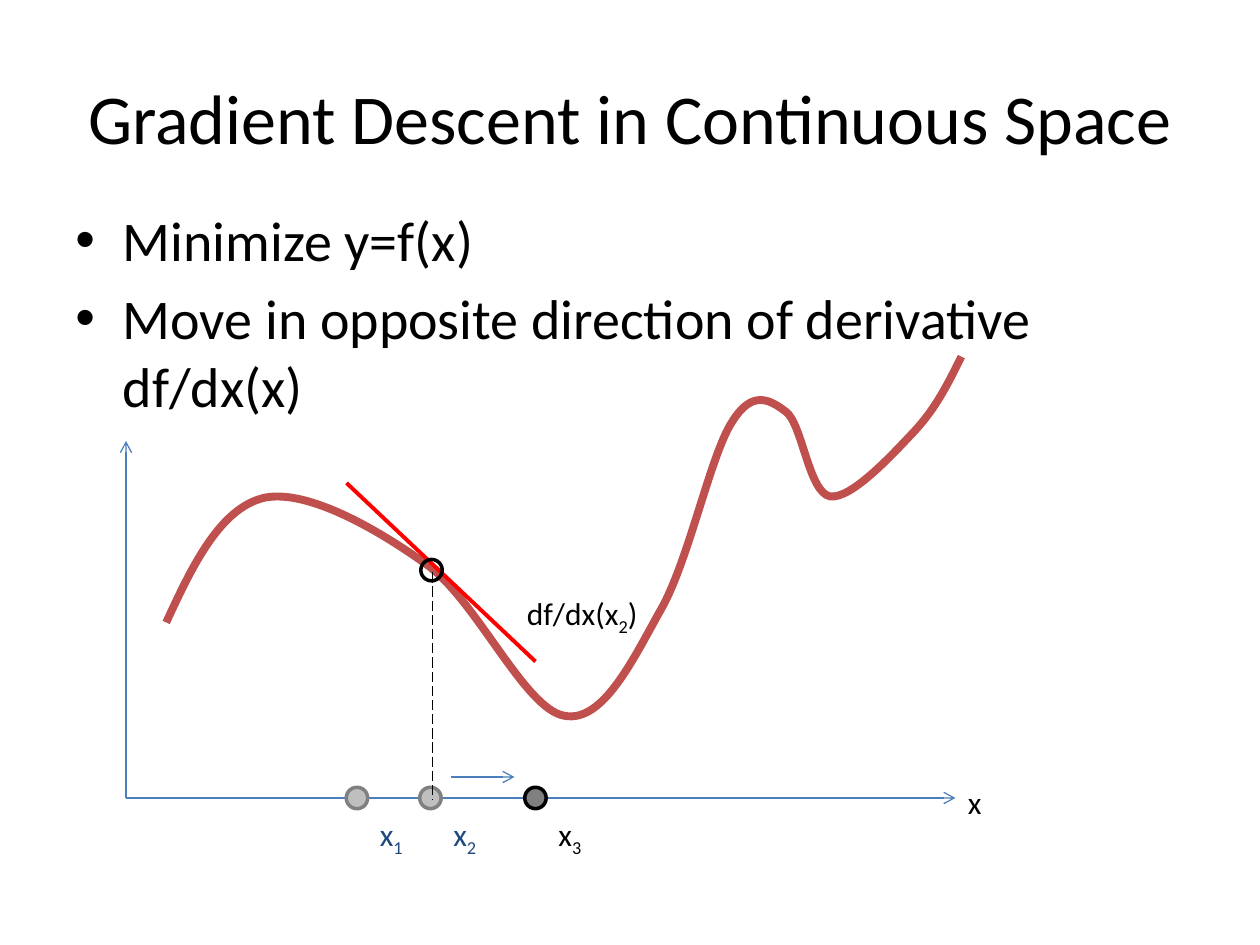
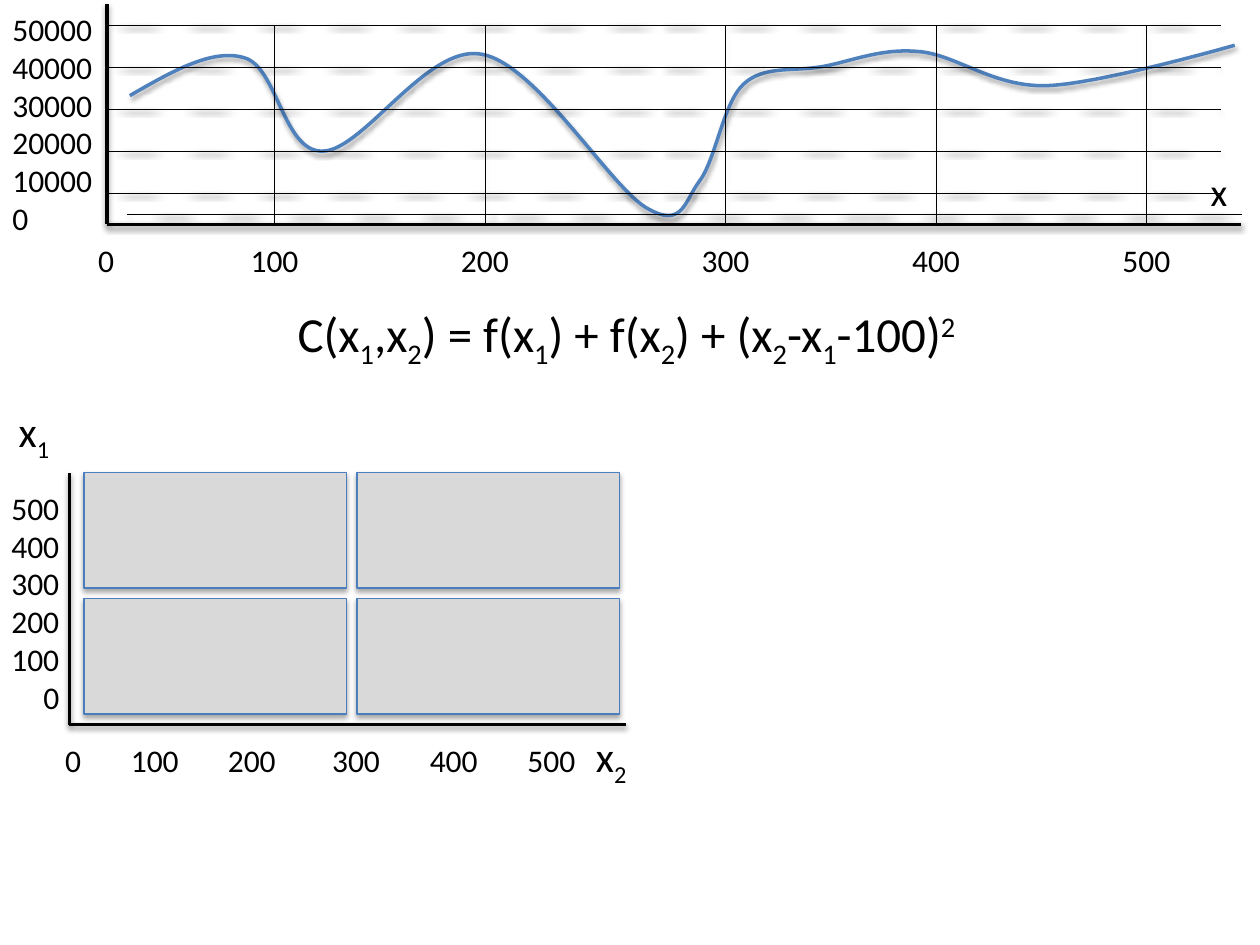
from dataclasses import dataclass
from typing import NamedTuple, Optional

from lxml import etree
from pptx import Presentation
from pptx import util as u
from pptx.dml.color import RGBColor
from pptx.enum import dml, shapes, text
from pptx.oxml.ns import qn

Pt = u.Pt


@dataclass(frozen=True)
class Theme:
    font: str = "Calibri"
    black: str = "000000"
    navy: str = "1F497D"
    blue: str = "4B7EBC"
    curve_blue: str = "4F81BD"
    curve_red: str = "C0504D"
    red: str = "FF0000"
    dark_grey: str = "808080"
    grey: str = "BFBFBF"
    light_grey: str = "D9D9D9"
    title: float = 40
    body: float = 32
    formula: float = 28
    variable: float = 24
    axis_name: float = 22
    label: float = 18


T = Theme()


class Shadow(NamedTuple):
    alpha: int
    distance: float
    blur: float = 3.1


class Stroke(NamedTuple):
    color: str
    width: float
    dash: Optional[dml.MSO_LINE] = None
    arrow: bool = False
    shadow: Optional[Shadow] = None


class Box(NamedTuple):
    x: float
    y: float
    w: float
    h: float


@dataclass(frozen=True)
class Label:
    box: Box
    lines: tuple[str, ...]
    size: float = T.label
    color: str = T.black
    align: text.PP_ALIGN = text.PP_ALIGN.LEFT
    wrap: bool = True
    anchor: text.MSO_ANCHOR = text.MSO_ANCHOR.TOP
    bullet: bool = False
    margin: float = 0
    tabs: tuple[float, ...] = ()


class Line(NamedTuple):
    start: tuple[float, float]
    end: tuple[float, float]
    stroke: Stroke


class Point(NamedTuple):
    x: float
    y: float
    line: str
    fill: Optional[str] = None


LINE_SHADOW = Shadow(38, 1.6)
CELL_SHADOW = Shadow(35, 1.8)
AXIS = Stroke(T.black, 2, shadow=LINE_SHADOW)
GRID = Stroke(T.black, 0.25, dml.MSO_LINE.ROUND_DOT, shadow=LINE_SHADOW)
ARROW = Stroke(T.blue, 0.75, arrow=True)
INSET = 7.2
POINT_SIZE = 12.24
BASELINES = {"_": "-25000", "^": "30000"}

DESCENT_CURVE = [
    (95, 355.7),
    (110.2, 322.6), (126, 290.2), (151.2, 284.4),
    (175.7, 279.4), (216, 302.4), (244.8, 323.3),
    (272.9, 344.2), (300.2, 405.4), (322.6, 409),
    (344.9, 413.3), (362.2, 375.8), (378, 347.8),
    (393.8, 319.7), (406.1, 259.9), (418.3, 241.2),
    (429.8, 222.5), (439.9, 228.2), (449.3, 235.4),
    (458.6, 242.6), (462.2, 281.5), (474.5, 283.7),
    (486.7, 285.1), (509.8, 259.9), (522, 247),
    (535, 233.3), (542.2, 218.2), (549.4, 203.8),
]
COST_CURVE = [
    (74.2, 54.7),
    (97.9, 41), (121.7, 27.4), (139.7, 33.1),
    (158.4, 38.2), (162, 87.1), (184.3, 86.4),
    (207.4, 86.4), (244.1, 25.2), (275, 31),
    (306, 36), (348.5, 106.6), (369.4, 118.8),
    (390.2, 131), (391, 115.2), (399.6, 103.7),
    (409, 91.4), (413.3, 59), (424.8, 48.2),
    (436.3, 37.4), (452.9, 41), (469.4, 38.2),
    (486, 35.3), (503.3, 27.4), (524.9, 29.5),
    (545.8, 31), (567.4, 49.7), (597.6, 49),
    (627.8, 48.2), (705.6, 25.9), (705.6, 25.9),
]


def add_xml(parent, tag: str, **attrs):
    el = etree.SubElement(parent, qn(tag))
    for name, value in attrs.items():
        el.set(name, str(value))
    return el


def style_line(sp, stroke: Stroke) -> None:
    sp.line.color.rgb = RGBColor.from_string(stroke.color)
    sp.line.width = Pt(stroke.width)
    if stroke.dash is not None:
        sp.line.dash_style = stroke.dash
    props = sp._element.spPr
    if stroke.arrow:
        add_xml(props.find(qn("a:ln")), "a:tailEnd", type="arrow")
    effects = add_xml(props, "a:effectLst")
    if stroke.shadow:
        shadow = add_xml(effects, "a:outerShdw", blurRad=Pt(stroke.shadow.blur),
                         dist=Pt(stroke.shadow.distance), dir=5400000, rotWithShape=0)
        color = add_xml(shadow, "a:srgbClr", val=T.black)
        add_xml(color, "a:alpha", val=stroke.shadow.alpha * 1000)


def style_fill(sp, color: Optional[str]) -> None:
    if color is None:
        sp.fill.background()
    else:
        sp.fill.solid()
        sp.fill.fore_color.rgb = RGBColor.from_string(color)


def draw_line(s, line: Line) -> None:
    ends = [Pt(v) for v in (*line.start, *line.end)]
    sp = s.shapes.add_connector(shapes.MSO_CONNECTOR.STRAIGHT, *ends)
    style_line(sp, line.stroke)


def draw_shape(s, kind: shapes.MSO_SHAPE, box: Box, fill: Optional[str], stroke: Stroke) -> None:
    sp = s.shapes.add_shape(kind, *map(Pt, box))
    style_fill(sp, fill)
    style_line(sp, stroke)


def draw_point(s, point: Point) -> None:
    half = POINT_SIZE / 2
    box = Box(point.x - half, point.y - half, POINT_SIZE, POINT_SIZE)
    draw_shape(s, shapes.MSO_SHAPE.OVAL, box, point.fill, Stroke(point.line, 2))


def draw_curve(s, points: list[tuple[float, float]], stroke: Stroke) -> None:
    start, *rest = [(Pt(x), Pt(y)) for x, y in points]
    builder = s.shapes.build_freeform(*start)
    builder.add_line_segments(rest, close=False)
    sp = builder.convert_to_shape()
    segments = list(sp._element.iter(qn("a:lnTo")))
    outline = segments[0].getparent()
    for i in range(0, len(segments), 3):
        bezier = add_xml(outline, "a:cubicBezTo")
        for segment in segments[i:i + 3]:
            bezier.append(segment[0])
            outline.remove(segment)
    style_fill(sp, None)
    style_line(sp, stroke)


def write_line(p, line: str, label: Label) -> None:
    p.alignment = label.align
    for part in line.split("|"):
        r = p.add_run()
        r.text = part.lstrip("_^")
        r.font.name = T.font
        r.font.size = Pt(label.size)
        r.font.color.rgb = RGBColor.from_string(label.color)
        if part[0] in BASELINES:
            r._r.get_or_add_rPr().set("baseline", BASELINES[part[0]])
    props = p._p.get_or_add_pPr()
    if label.margin:
        props.set("marL", str(Pt(label.margin)))
    if label.bullet:
        p.space_before = Pt(label.size * 0.2)
        props.set("indent", str(-Pt(label.margin)))
        add_xml(props, "a:buFont", typeface="Arial")
        add_xml(props, "a:buChar", char="•")
    if label.tabs:
        tabs = add_xml(props, "a:tabLst")
        for center in label.tabs:
            add_xml(tabs, "a:tab", pos=Pt(center - label.box.x - INSET), algn="ctr")


def draw_label(s, label: Label) -> None:
    tf = s.shapes.add_textbox(*map(Pt, label.box)).text_frame
    tf.word_wrap = label.wrap
    tf.vertical_anchor = label.anchor
    for i, line in enumerate(label.lines):
        p = tf.add_paragraph() if i else tf.paragraphs[0]
        write_line(p, line, label)


def build_descent(s) -> None:
    axis_y = 456
    x1, x2, x3 = 204, 246, 306
    draw_label(s, Label(Box(36, 21.6, 648, 90), ("Gradient Descent in Continuous Space",),
                        T.title, align=text.PP_ALIGN.CENTER, anchor=text.MSO_ANCHOR.MIDDLE))
    draw_label(s, Label(Box(36, 113.8, 588, 384),
                        ("Minimize y=f(x)",
                         "Move in opposite direction of derivative df/dx(x)"),
                        T.body, bullet=True, margin=27))
    draw_line(s, Line((72, axis_y), (546, axis_y), ARROW))
    draw_line(s, Line((72, axis_y), (72, 252), ARROW))
    draw_label(s, Label(Box(546, 444, 90, 29), ("x",)))
    draw_curve(s, DESCENT_CURVE, Stroke(T.curve_red, 4.5))
    draw_line(s, Line((198, 276), (306, 378), Stroke(T.red, 2.25)))
    draw_label(s, Label(Box(294, 336, 102, 29), ("df/dx(x|_2|)",)))
    for i, (x, line, fill, color) in enumerate((
            (x1, T.dark_grey, T.grey, T.navy),
            (x2, T.dark_grey, T.grey, T.navy),
            (x3, T.black, T.dark_grey, T.black)), 1):
        draw_point(s, Point(x, axis_y, line, fill))
        draw_label(s, Label(Box(x + 6, 462, 42, 29), (f"x|_{i}",), color=color))
    draw_line(s, Line((247, 327), (247, 457), Stroke(T.black, 0.75, dml.MSO_LINE.LONG_DASH)))
    draw_point(s, Point(246.6, 325.8, T.black))
    draw_line(s, Line((258, 444), (294, 444), ARROW))


def build_cost(s) -> None:
    left, right, base, grid_top, grid_right = 61.2, 709.2, 128.2, 14.4, 697
    grid_x = (157, 277.2, 414.7, 535, 655.2)
    ticks = [str(n) for n in range(0, 600, 100)]
    tick_line = "\t".join(ticks)

    draw_label(s, Label(Box(36, 169.6, 648, 358),
                        ("C(x|_1|,x|_2|) = f(x|_1|) + f(x|_2|) + (x|_2|-x|_1|-100)|^2",),
                        T.formula, margin=127))
    draw_curve(s, COST_CURVE, Stroke(T.curve_blue, 2, shadow=LINE_SHADOW))
    draw_line(s, Line((left, 2.2), (left, base), AXIS))
    draw_line(s, Line((right, base), (left, base), AXIS))
    draw_label(s, Label(Box(684.7, 92.2, 24.5, 33.8), ("x",), T.axis_name, wrap=False))
    draw_label(s, Label(Box(0, 2.2, 60.5, 138.2),
                        tuple(str(n) for n in range(50000, -1, -10000)), wrap=False))
    for i in range(5):
        y = grid_top + 24 * i
        draw_line(s, Line((left, y), (grid_right, y), GRID))
    for x in grid_x:
        draw_line(s, Line((x, grid_top), (x, base), GRID))
    draw_label(s, Label(Box(49, 133.9, 660, 29), (tick_line,), tabs=grid_x))
    draw_line(s, Line((72.7, 122.4), (right, 122.4), GRID))

    origin_x, origin_y = 39.6, 414
    draw_line(s, Line((358, origin_y), (origin_x, origin_y), AXIS))
    draw_line(s, Line((origin_x, origin_y), (origin_x, 270), AXIS))
    for i, (x, y) in enumerate(((3.6, 228.2), (333.4, 414)), 1):
        draw_label(s, Label(Box(x, y, 33.1, 36), (f"x|_{i}",), T.variable, wrap=False))
    draw_label(s, Label(Box(-2.2, 275.8, 43.2, 138.2), tuple(reversed(ticks)),
                        align=text.PP_ALIGN.RIGHT, wrap=False))
    draw_label(s, Label(Box(30.2, 419.8, 660, 29), (tick_line,),
                        tabs=(88.6, 144, 203.6, 259.4, 315.2)))
    for column in range(2):
        for row in range(2):
            draw_shape(s, shapes.MSO_SHAPE.RECTANGLE,
                       Box(48 + 156 * column, 270 + 72 * row, 150, 66),
                       T.light_grey, Stroke(T.blue, 0.75, shadow=CELL_SHADOW))


def main() -> None:
    prs = Presentation()
    prs.slide_width, prs.slide_height = Pt(720), Pt(540)
    for build in (build_descent, build_cost):
        build(prs.slides.add_slide(prs.slide_layouts[6]))
    prs.save("out.pptx")


if __name__ == "__main__":
    main()
